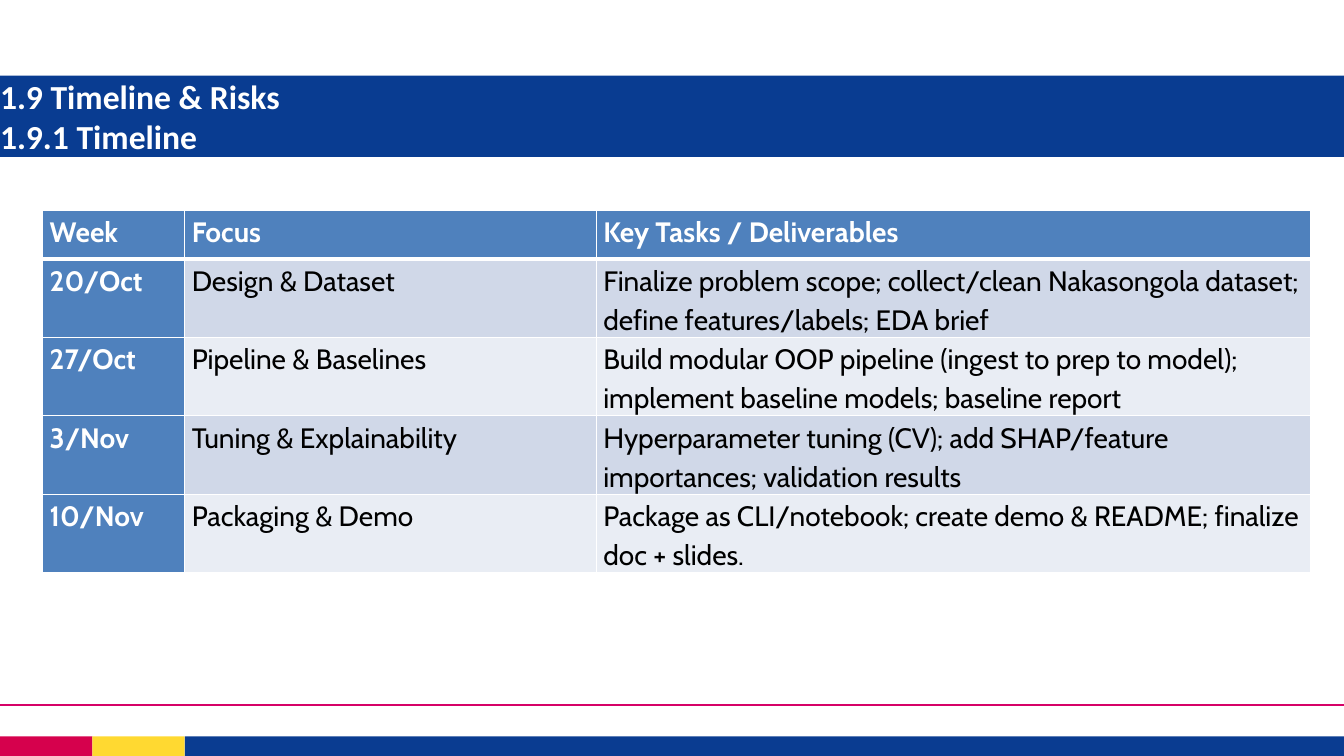
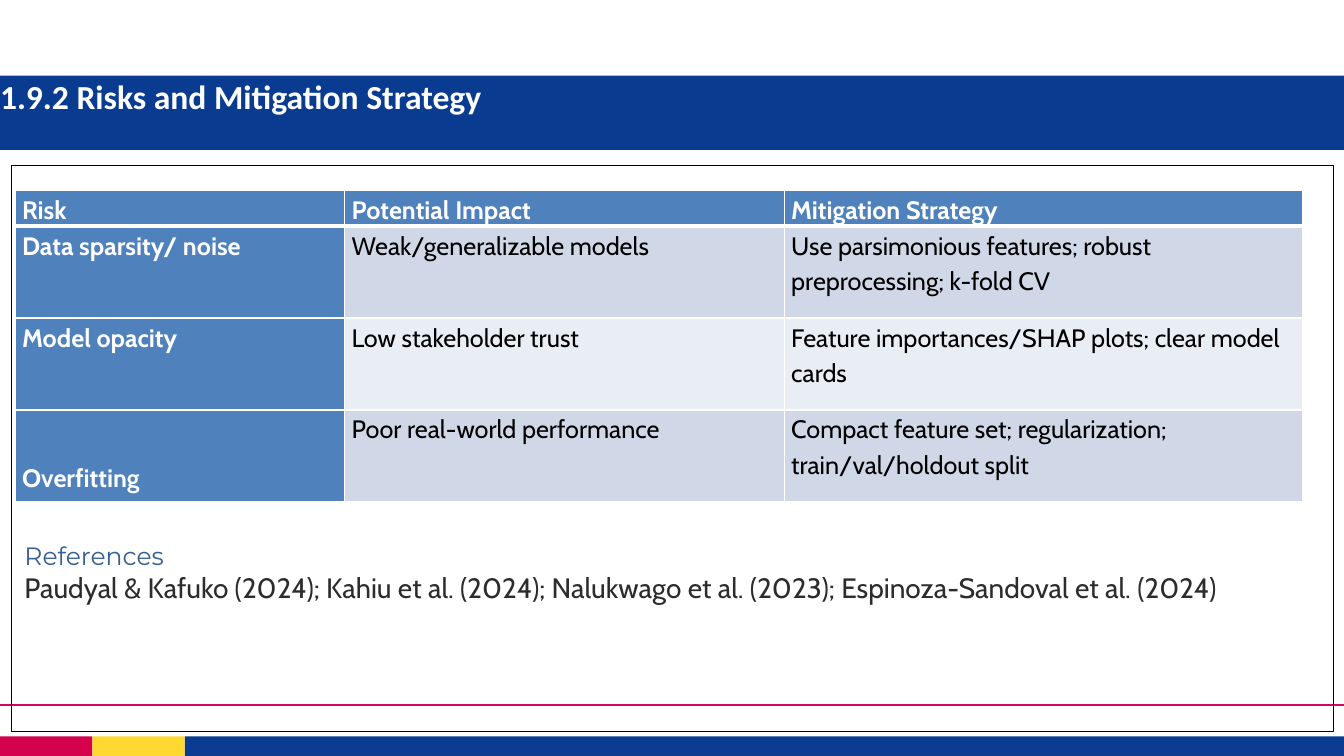
from dataclasses import dataclass

from lxml import etree
from pptx import Presentation
from pptx.dml.color import RGBColor
from pptx.enum.shapes import MSO_CONNECTOR, MSO_SHAPE
from pptx.enum.text import MSO_ANCHOR, MSO_AUTO_SIZE, PP_ALIGN
from pptx.oxml.ns import qn
from pptx.util import Pt

RECT = MSO_SHAPE.RECTANGLE
LINE = MSO_CONNECTOR.STRAIGHT
LEFT = PP_ALIGN.LEFT
TOP = MSO_ANCHOR.TOP
FIXED = MSO_AUTO_SIZE.NONE
WIDE, HIGH = 960, 540


@dataclass(frozen=True)
class Theme:
    # Colours
    title: str = "093C91"
    navy: str = "0A3C91"
    red: str = "D6014D"
    gold: str = "FFD931"
    pink: str = "D60167"
    white: str = "FFFFFF"
    black: str = "000000"
    head: str = "4F81BD"
    bands: tuple = ("D0D8E8", "E9EDF4")
    label: str = "376092"
    text: str = "2C2C2C"
    # Fonts and sizes
    bold_font: str = "Calibri"
    font: str = "Cabin"
    label_font: str = "Montserrat"
    title_size: float = 24
    large: float = 20
    small: float = 18
    label_size: float = 17.9


def paint(fill, color):
    fill.solid()
    fill.fore_color.rgb = RGBColor.from_string(color)


class Deck:
    def __init__(self, theme):
        self.theme = theme
        self.prs = Presentation()
        self.prs.slide_width, self.prs.slide_height = Pt(WIDE), Pt(HIGH)
        self.slide = None

    def add_text(self, para, text, font, size, color, bold=False):
        run = para.add_run()
        run.text = text
        run.font.name, run.font.size, run.font.bold = font, Pt(size), bold
        run.font.color.rgb = RGBColor.from_string(color)

    def block(self, left, top, width, height, fill=None, line=None):
        box = self.slide.shapes.add_shape(
            RECT, Pt(left), Pt(top), Pt(width), Pt(height))
        box.shadow.inherit = False
        if fill:
            paint(box.fill, fill)
        else:
            box.fill.background()
        if line:
            paint(box.line.fill, line)
            box.line.width = Pt(0.25)
        else:
            box.line.fill.background()
        return box

    def rule(self, y, color, width):
        line = self.slide.shapes.add_connector(
            LINE, Pt(0), Pt(y), Pt(WIDE), Pt(y))
        paint(line.line.fill, color)
        line.line.width = Pt(width)
        etree.SubElement(line._element.spPr, qn("a:effectLst"))

    def start(self, lines, height):
        """Add a slide with its footer and title band."""
        th = self.theme
        self.slide = self.prs.slides.add_slide(self.prs.slide_layouts[5])
        # Footer
        step, deep = 66, 14
        for left, width, color in ((0, step, th.red), (step, step, th.gold),
                                   (2 * step, WIDE - 2 * step, th.navy)):
            self.block(left, HIGH - deep, width, deep, color)
        self.rule(503.6, th.pink, 1)
        # Title band
        title = self.slide.shapes.title
        title.left, title.top = Pt(0), Pt(54)
        title.width, title.height = Pt(WIDE), Pt(height)
        paint(title.fill, th.title)
        frame = self.prep(title, 0, 0)
        para = frame.paragraphs[0]
        para.alignment = LEFT
        for i, text in enumerate(lines):
            if i:
                para.add_line_break()
            self.add_text(para, text, th.bold_font, th.title_size,
                          th.white, True)

    def prep(self, shape, side, top):
        frame = shape.text_frame
        frame.word_wrap, frame.auto_size = True, FIXED
        frame.vertical_anchor = TOP
        frame.margin_left = frame.margin_right = Pt(side)
        frame.margin_top, frame.margin_bottom = Pt(top), Pt(0)
        return frame

    def edge(self, cell, base):
        """Draw white cell borders, with the given width below."""
        props = cell._tc.get_or_add_tcPr()
        for side, width in (("L", 1), ("R", 1), ("T", 1), ("B", base)):
            line = etree.SubElement(props, qn("a:ln" + side), w=str(Pt(width)))
            fill = etree.SubElement(line, qn("a:solidFill"))
            etree.SubElement(fill, qn("a:srgbClr"), val=self.theme.white)

    def table(self, left, top, cols, rows, data, size, drops=()):
        """Add a table; drops maps (row, column) to an extra top inset."""
        th, drops = self.theme, dict(drops)
        grid = self.slide.shapes.add_table(
            len(rows), len(cols), Pt(left), Pt(top),
            Pt(sum(cols)), Pt(sum(rows))).table
        for col, width in zip(grid.columns, cols):
            col.width = Pt(width)
        for row, height in zip(grid.rows, rows):
            row.height = Pt(height)
        for r, texts in enumerate(data):
            for c, text in enumerate(texts):
                cell = grid.cell(r, c)
                head = r == 0 or c == 0
                self.edge(cell, 1 if r else 3)
                paint(cell.fill, th.head if head else th.bands[(r - 1) % 2])
                cell.margin_left = cell.margin_right = Pt(5)
                cell.margin_top = Pt(drops.get((r, c), 0))
                cell.margin_bottom = Pt(0)
                para = cell.text_frame.paragraphs[0]
                para.line_spacing, para.space_after = 1.15, Pt(10)
                self.add_text(para, text, th.font, size,
                              th.white if head else th.black, head)

    def notes(self, label, text):
        """Add the outlined frame that holds the references."""
        th = self.theme
        box = self.block(8, 118, 944, 404, line=th.black)
        frame = self.prep(box, 9.5, 268)
        first, last = frame.paragraphs[0], frame.add_paragraph()
        first.alignment = last.alignment = LEFT
        self.add_text(first, label, th.label_font, th.label_size, th.label)
        self.add_text(last, text, th.font, th.large, th.text)


def main():
    theme = Theme()
    deck = Deck(theme)

    # Timeline
    deck.start(["1.9 Timeline & Risks", "1.9.1 Timeline"], 58)
    deck.table(30.5, 150.5, (101.5, 294, 510), [34.5] + [55.2] * 4, (
        ("Week", "Focus", "Key Tasks / Deliverables"),
        ("20/Oct", "Design & Dataset",
         "Finalize problem scope; collect/clean Nakasongola dataset; "
         "define features/labels; EDA brief"),
        ("27/Oct", "Pipeline & Baselines",
         "Build modular OOP pipeline (ingest to prep to model); "
         "implement baseline models; baseline report"),
        ("3/Nov", "Tuning & Explainability",
         "Hyperparameter tuning (CV); add SHAP/feature importances; "
         "validation results"),
        ("10/Nov", "Packaging & Demo",
         "Package as CLI/notebook; create demo & README; "
         "finalize doc + slides."),
    ), theme.large)

    # Risks
    deck.start(["1.9.2 Risks and Mitigation Strategy"], 53)
    deck.notes("References",
               "Paudyal & Kafuko (2024); Kahiu et al. (2024); "
               "Nalukwago et al. (2023); Espinoza-Sandoval et al. (2024)")
    deck.table(10.8, 136.2, (235.4, 314, 370), [24.5] + [65.7] * 3, (
        ("Risk", "Potential Impact", "Mitigation Strategy"),
        ("Data sparsity/ noise", "Weak/generalizable models",
         "Use parsimonious features; robust preprocessing; k-fold CV"),
        ("Model opacity", "Low stakeholder trust",
         "Feature importances/SHAP plots; clear model cards"),
        ("Overfitting", "Poor real-world performance",
         "Compact feature set; regularization; train/val/holdout split"),
    ), theme.small, {(3, 0): 35})

    deck.prs.save("out.pptx")


if __name__ == "__main__":
    main()
